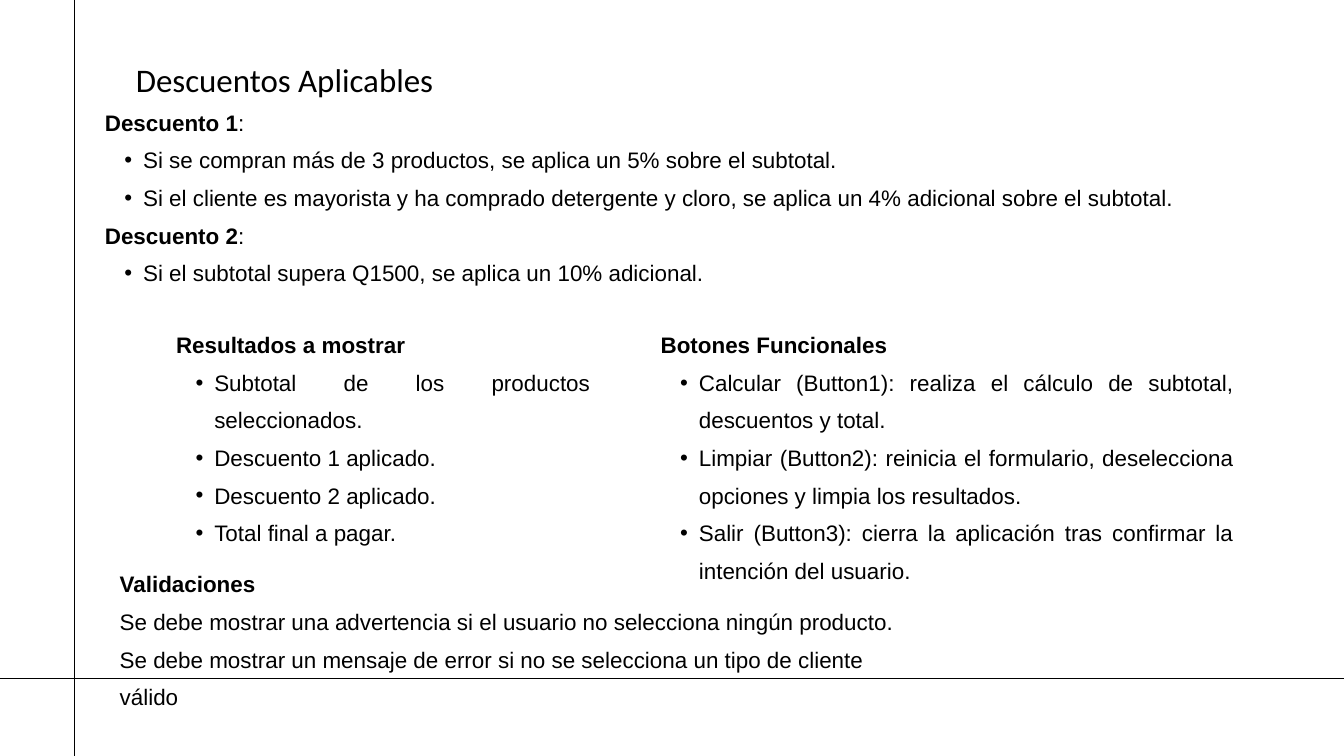
from lxml import etree
from pptx import Presentation
from pptx.dml.color import RGBColor
from pptx.enum.shapes import MSO_CONNECTOR
from pptx.enum.text import MSO_ANCHOR, MSO_AUTO_SIZE, PP_ALIGN
from pptx.oxml.ns import qn
from pptx.util import Pt

LEFT, CENTER, JUSTIFY = PP_ALIGN.LEFT, PP_ALIGN.CENTER, PP_ALIGN.JUSTIFY
TOP, GROW = MSO_ANCHOR.TOP, MSO_AUTO_SIZE.SHAPE_TO_FIT_TEXT
STRAIGHT = MSO_CONNECTOR.STRAIGHT
COMPARISON_LAYOUT = 4  # one title and four bodies
SLIDE_W, SLIDE_H = 1440, 810
INK = "000000"
BULLET_LEFT, BULLET_HANG = 41, 20

# Content: a paragraph is (kind, text); a heading may end in a plain tail
TITLE = [("plain", "Descuentos Aplicables")]
DISCOUNTS = [
    ("heading", "Descuento 1", ":"),
    ("bullet", "Si se compran más de 3 productos, se aplica un 5% sobre el subtotal."),
    ("bullet", "Si el cliente es mayorista y ha comprado detergente y cloro, "
               "se aplica un 4% adicional sobre el subtotal."),
    ("heading", "Descuento 2", ":"),
    ("bullet", "Si el subtotal supera Q1500, se aplica un 10% adicional."),
]
RESULTS = [
    ("heading", "Resultados a mostrar"),
    ("bullet", "Subtotal de los productos seleccionados."),
    ("bullet", "Descuento 1 aplicado."),
    ("bullet", "Descuento 2 aplicado."),
    ("bullet", "Total final a pagar."),
]
BUTTONS = [
    ("heading", "Botones Funcionales"),
    ("bullet", "Calcular (Button1): realiza el cálculo de subtotal, descuentos y total."),
    ("bullet", "Limpiar (Button2): reinicia el formulario, deselecciona opciones "
               "y limpia los resultados."),
    ("bullet", "Salir (Button3): cierra la aplicación tras confirmar la intención del usuario."),
]
VALIDATIONS = [
    ("heading", "Validaciones"),
    ("plain", "Se debe mostrar una advertencia si el usuario no selecciona ningún producto."),
    ("plain", "Se debe mostrar un mensaje de error si no se selecciona un tipo de cliente válido"),
]

# Formats: font name, size, line spacing
TITLE_FORMAT = ("Calibri", 35.3, 59.3)
BODY_FORMAT = ("Arial", 24, 40.3)

# Each part: content, (left, top, width, height), alignment, format
COLUMNS_TOP = 343.5
PARTS = [
    (TITLE, (112.3, 46.8, 385.2, 54.7), CENTER, TITLE_FORMAT),
    (DISCOUNTS, (112.3, 105.1, 1247, 198.7), LEFT, BODY_FORMAT),
    (RESULTS, (188.6, COLUMNS_TOP, 443.5, 238.3), JUSTIFY, BODY_FORMAT),
    (BUTTONS, (707.8, COLUMNS_TOP, 613.4, 278.6), JUSTIFY, BODY_FORMAT),
    (VALIDATIONS, (128.2, 599.8, 856.1, 119.5), LEFT, BODY_FORMAT),
]
RULES = [(0, 727.2, SLIDE_W, 727.2), (79.9, SLIDE_H, 79.9, 0)]


def color(value):
    return RGBColor.from_string(value)


def set_format(target, values):
    for name, value in values.items():
        setattr(target, name, value)


def set_bullet(paragraph, bulleted):
    props = paragraph._p.get_or_add_pPr()
    props.set("marL", str(Pt(BULLET_LEFT if bulleted else 0)))
    props.set("indent", str(Pt(-BULLET_HANG if bulleted else 0)))
    if bulleted:
        etree.SubElement(props, qn("a:buFont")).set("typeface", "Arial")
        etree.SubElement(props, qn("a:buChar")).set("char", "•")
    else:
        etree.SubElement(props, qn("a:buNone"))


def fill_placeholder(shape, content, box, align, text_format):
    font_name, size, spacing = text_format
    set_format(shape, dict(zip(("left", "top", "width", "height"), map(Pt, box))))
    frame = shape.text_frame
    set_format(frame, dict(margin_left=0, margin_top=0, margin_right=0, margin_bottom=0,
                           word_wrap=True, vertical_anchor=TOP, auto_size=GROW))
    for number, (kind, *texts) in enumerate(content):
        paragraph = frame.add_paragraph() if number else frame.paragraphs[0]
        set_bullet(paragraph, kind == "bullet")
        set_format(paragraph, dict(alignment=align, line_spacing=Pt(spacing),
                                   space_before=Pt(0), space_after=Pt(0),
                                   level=int(kind == "bullet")))
        for position, text in enumerate(texts):
            run = paragraph.add_run()
            run.text = text
            set_format(run.font, dict(name=font_name, size=Pt(size),
                                      bold=kind == "heading" and position == 0))
            run.font.color.rgb = color(INK)


def add_rule(slide, ends):
    rule = slide.shapes.add_connector(STRAIGHT, *map(Pt, ends))
    rule.line.width = Pt(1.5)
    rule.line.color.rgb = color(INK)
    etree.SubElement(rule._element.spPr, qn("a:effectLst"))


def main():
    deck = Presentation()
    deck.slide_width, deck.slide_height = Pt(SLIDE_W), Pt(SLIDE_H)
    slide = deck.slides.add_slide(deck.slide_layouts[COMPARISON_LAYOUT])

    # Title and text blocks
    for placeholder, part in zip(slide.placeholders, PARTS):
        fill_placeholder(placeholder, *part)

    # Rules across the slide
    for ends in RULES:
        add_rule(slide, ends)

    deck.save("out.pptx")


if __name__ == "__main__":
    main()
